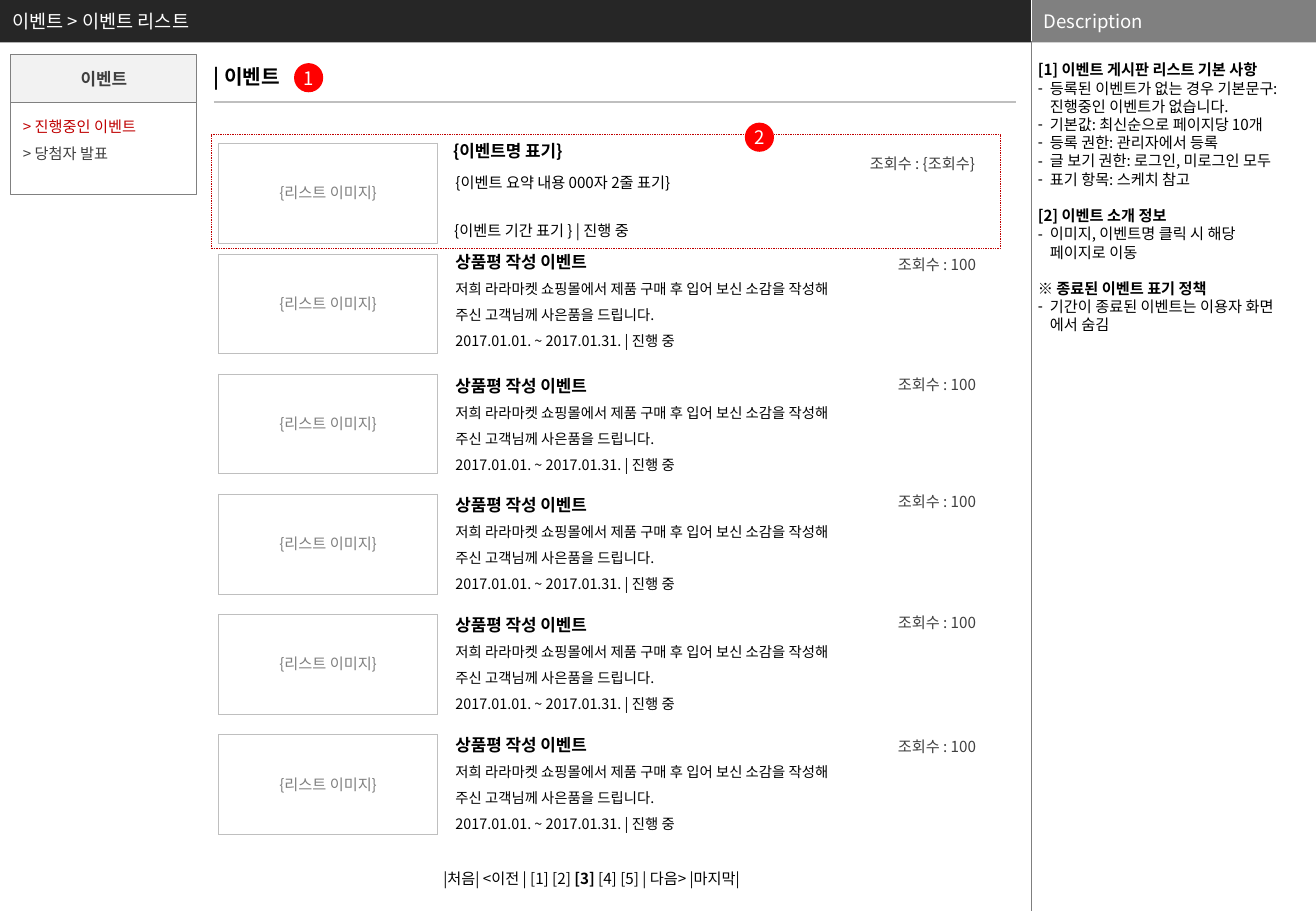
"""Build the event list wireframe slide."""
from dataclasses import dataclass

from lxml import etree
from pptx import Presentation
from pptx.dml.color import RGBColor
from pptx.enum.dml import MSO_LINE
from pptx.enum.shapes import MSO_CONNECTOR, MSO_SHAPE
from pptx.enum.text import MSO_ANCHOR, MSO_AUTO_SIZE, PP_ALIGN
from pptx.oxml.ns import qn
from pptx.util import Inches, Pt

RECT, ROUND, OVAL = MSO_SHAPE.RECTANGLE, MSO_SHAPE.ROUNDED_RECTANGLE, MSO_SHAPE.OVAL
STRAIGHT, DOTTED = MSO_CONNECTOR.STRAIGHT, MSO_LINE.ROUND_DOT
TOP, MIDDLE = MSO_ANCHOR.TOP, MSO_ANCHOR.MIDDLE
LEFT, CENTER = PP_ALIGN.LEFT, PP_ALIGN.CENTER
FIXED = MSO_AUTO_SIZE.NONE
FACE = "Noto Sans CJK KR"
PAD = (0.1, 0.05, 0.1, 0.05)
FLAT = (0, 0, 0, 0)


@dataclass
class Line:
    """One paragraph; parts between asterisks are bold."""
    text: str
    size: float = 9
    color: str = "000000"
    bold: bool = False
    lead: float = 1.2
    align: PP_ALIGN = LEFT
    gap: float = 0
    dash: bool = False


@dataclass
class Note:
    """A description heading with its dashed points."""
    head: str
    points: list[str]
    bold: bool = True


@dataclass
class Item:
    """Tops of the image, text and view count of one event."""
    image: float
    text: float
    views: float


NOTES = [
    Note("[1] 이벤트 게시판 리스트 기본 사항", [
        "등록된 이벤트가 없는 경우 기본문구:\v진행중인 이벤트가 없습니다.",
        "기본값: 최신순으로 페이지당 10개",
        "등록 권한: 관리자에서 등록",
        "글 보기 권한: 로그인, 미로그인 모두",
        "표기 항목: 스케치 참고"]),
    Note("[2] 이벤트 소개 정보", ["이미지, 이벤트명 클릭 시 해당\v페이지로 이동"]),
    Note("※ *종료된 이벤트 표기 정책*", ["기간이 종료된 이벤트는 이용자 화면\v에서 숨김"], False),
]
ITEMS = [Item(2.09, 2.02, 2.05), Item(3.08, 3.04, 3.04), Item(4.07, 4.02, 4),
         Item(5.06, 5.01, 5), Item(6.05, 6, 6.02)]
EVENT = [
    Line("상품평 작성 이벤트", 10, bold=True),
    Line("저희 라라마켓 쇼핑몰에서 제품 구매 후 입어 보신 소감을 작성해 주신 고객님께 사은품을 드립니다.", 8.5, lead=1.8),
    Line("2017.01.01. ~ 2017.01.31. | 진행 중", 8.5, lead=1.8),
]


def paint(hue: str) -> RGBColor:
    """Turn a hex string into a colour."""
    return RGBColor.from_string(hue)


def write(shape, lines: list[Line], anchor: MSO_ANCHOR = TOP, pad: tuple = PAD) -> None:
    """Fill a shape with formatted paragraphs."""
    frame = shape.text_frame
    frame.word_wrap, frame.auto_size = True, FIXED
    frame.vertical_anchor = anchor
    frame.margin_left, frame.margin_top, frame.margin_right, frame.margin_bottom = map(Inches, pad)
    for i, line in enumerate(lines):
        para = frame.add_paragraph() if i else frame.paragraphs[0]
        props = para._p.get_or_add_pPr()
        props.set("marL", str(Inches(0.1) if line.dash else 0))
        props.set("indent", str(-Inches(0.1) if line.dash else 0))
        if line.dash:
            etree.SubElement(props, qn("a:buChar")).set("char", "-")
        else:
            etree.SubElement(props, qn("a:buNone"))
        para.alignment = line.align
        para.line_spacing = Pt(line.size * line.lead)
        para.space_before = Pt(line.gap)
        font = para.font
        font.name, font.size, font.bold = FACE, Pt(line.size), line.bold
        font.color.rgb = paint(line.color)
        parts = line.text.split("*")
        if len(parts) == 1:
            para.text = line.text
            continue
        for j, part in enumerate(parts):
            if part:
                run = para.add_run()
                run.text = part
                if j % 2:
                    run.font.bold = True


def place(shape, box: tuple) -> None:
    """Move and size a shape in inches."""
    shape.left, shape.top, shape.width, shape.height = map(Inches, box)


def label(slide, box: tuple, lines: list[Line]) -> None:
    """Add a text box."""
    write(slide.shapes.add_textbox(*map(Inches, box)), lines)


def block(slide, kind: MSO_SHAPE, box: tuple, fill: str = "", edge: str = ""):
    """Add a preset shape with optional fill and outline."""
    shape = slide.shapes.add_shape(kind, *map(Inches, box))
    shape.shadow.inherit = False
    if kind == ROUND:
        shape.adjustments[0] = 0
    if fill:
        shape.fill.solid()
        shape.fill.fore_color.rgb = paint(fill)
    else:
        shape.fill.background()
    if edge:
        shape.line.color.rgb, shape.line.width = paint(edge), Pt(0.5)
    else:
        shape.line.fill.background()
    return shape


def rule(slide, ends: tuple, hue: str, width: float) -> None:
    """Add a straight line."""
    link = slide.shapes.add_connector(STRAIGHT, *map(Inches, ends))
    link.line.color.rgb, link.line.width = paint(hue), Pt(width)
    etree.SubElement(link.element.find(qn("p:spPr")), qn("a:effectLst"))


def image(slide, top: float) -> None:
    """Add a bordered image cell and its label."""
    table = slide.shapes.add_table(1, 1, *map(Inches, (1.8, top, 1.8, 0.82))).table
    table.first_row = table.horz_banding = False
    cell = table.cell(0, 0)
    props = cell._tc.get_or_add_tcPr()
    for side in ("a:lnL", "a:lnR", "a:lnT", "a:lnB"):
        edge = etree.SubElement(props, qn(side), w=str(Pt(0.5)))
        fill = etree.SubElement(edge, qn("a:solidFill"))
        etree.SubElement(fill, qn("a:srgbClr"), val="BFBFBF")
    cell.fill.background()
    tag = block(slide, RECT, (2.15, top + 0.28, 1.1, 0.25), "FFFFFF")
    write(tag, [Line("{리스트 이미지}", color="808080", align=CENTER)], MIDDLE, FLAT)


def badge(slide, left: float, top: float, text: str) -> None:
    """Add a red numbered circle."""
    dot = block(slide, OVAL, (left, top, 0.24, 0.24), "FF0000")
    write(dot, [Line(text, 11, "FFFFFF", align=CENTER)], MIDDLE, FLAT)


def frame(slide) -> None:
    """Draw the header, the description and the side menu."""
    title, body = slide.shapes.title, slide.placeholders[1]
    title.element.addprevious(block(slide, RECT, (0, 0, 8.49, 0.35), "262626").element)
    place(title, (0, 0, 8.25, 0.35))
    write(title, [Line("이벤트 > 이벤트 리스트", 11, "FFFFFF")], MIDDLE)
    side = block(slide, RECT, (8.49, 0, 2.34, 0.35), "808080")
    write(side, [Line("Description", 11, "FFFFFF")], MIDDLE)
    rule(slide, (8.49, 0, 8.49, 0.35), "FFFFFF", 0.25)
    rule(slide, (8.49, 0.34, 8.49, 7.5), "7F7F7F", 0.25)
    lines = []
    for note in NOTES:
        lines.append(Line(note.head, bold=note.bold, gap=10.8 if lines else 0))
        lines += [Line(point, dash=True) for point in note.points]
    place(body, (8.5, 0.35, 2.33, 7.15))
    write(body, lines, pad=(0.04, 0.15, 0.04, 0))
    menu = block(slide, ROUND, (0.09, 0.84, 1.53, 0.76), edge="808080")
    write(menu, [Line("> 진행중인 이벤트", color="C00000", lead=1.8),
                 Line("> 당첨자 발표", color="404040", lead=1.8)])
    head = block(slide, ROUND, (0.09, 0.45, 1.53, 0.39), "F2F2F2", "808080")
    write(head, [Line("이벤트", 10, "404040", True, align=CENTER)], MIDDLE)


def events(slide) -> None:
    """Draw the event list with its template row and pager."""
    label(slide, (1.66, 0.48, 1.32, 0.3), [Line("| 이벤트", 12, bold=True)])
    rule(slide, (1.76, 0.84, 8.36, 0.84), "BFBFBF", 0.75)
    image(slide, 1.18)
    label(slide, (3.63, 1.11, 1.21, 0.27), [Line("{이벤트명 표기}", 10, bold=True)])
    label(slide, (3.65, 1.3, 2.12, 0.55), [Line("{이벤트 요약 내용 000자 2줄 표기}", lead=1.8)])
    label(slide, (3.64, 1.77, 1.97, 0.25), [Line("{이벤트 기간 표기 } | 진행 중")])
    label(slide, (7.06, 1.22, 1.1, 0.4), [Line("조회수 : {조회수}", color="404040")])
    for item in ITEMS:
        image(slide, item.image)
        label(slide, (3.65, item.text, 3.28, 0.91), EVENT)
        label(slide, (7.29, item.views, 0.97, 0.25), [Line("조회수 : 100", color="404040")])
    block(slide, RECT, (1.74, 1.11, 6.49, 0.94), edge="C00000").line.dash_style = DOTTED
    badge(slide, 2.42, 0.52, "1")
    badge(slide, 6.13, 1.01, "2")
    label(slide, (3.55, 7.11, 3.03, 0.25), [Line("|처음| <이전 | [1] [2] *[3]* [4] [5] | 다음> |마지막|")])


def main() -> None:
    """Build and save the deck."""
    deck = Presentation()
    deck.slide_width, deck.slide_height = Inches(10.83), Inches(7.5)
    slide = deck.slides.add_slide(deck.slide_layouts[1])
    frame(slide)
    events(slide)
    for latin in list(slide.element.iter(qn("a:latin"))):
        east = etree.Element(qn("a:ea"), typeface=FACE)
        latin.addnext(east)
    deck.save("out.pptx")


if __name__ == "__main__":
    main()
